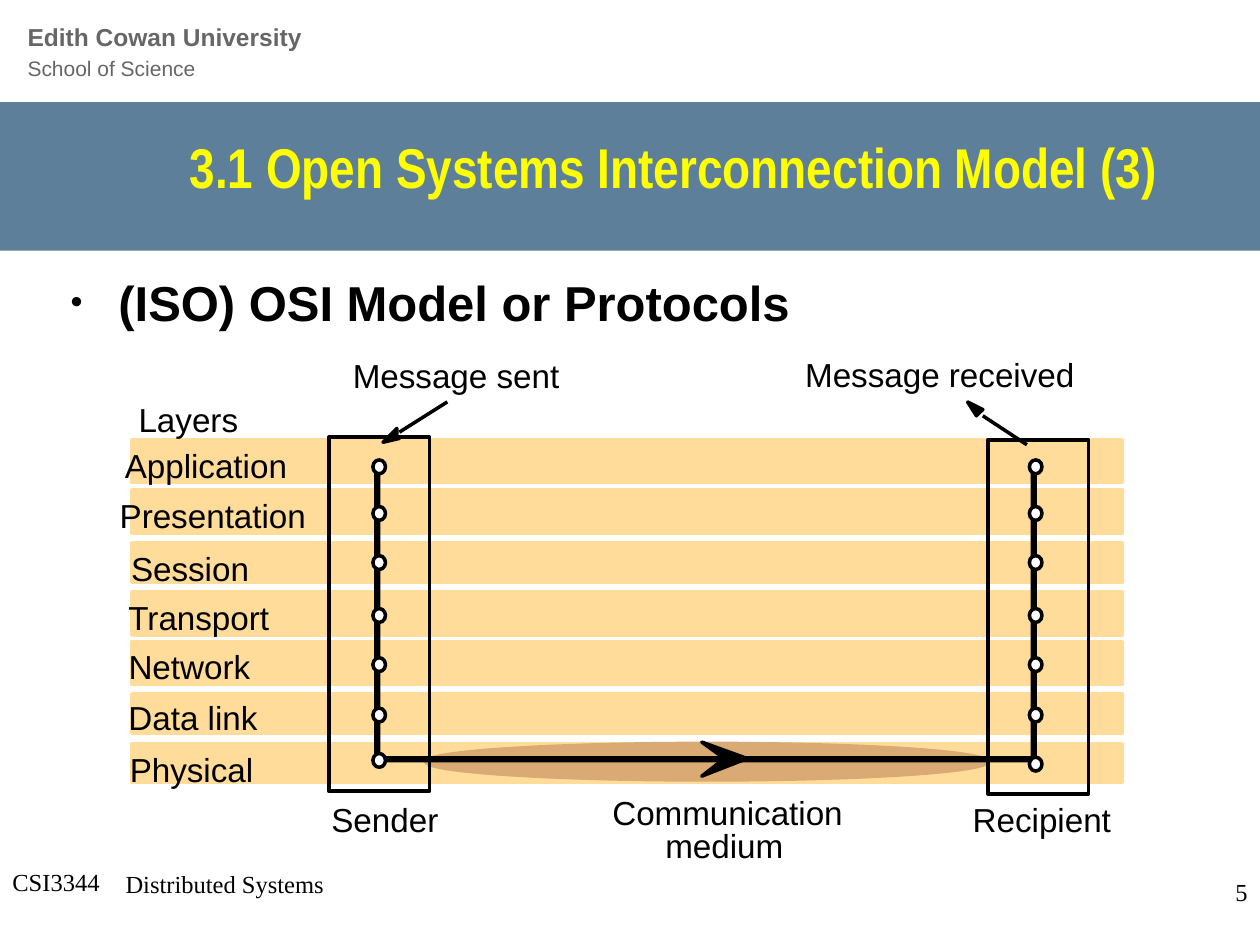
from dataclasses import dataclass

import pptx
import pptx.dml.color
import pptx.enum.shapes
import pptx.enum.text
import pptx.oxml.ns
import pptx.util
from lxml import etree

Inches, Pt = pptx.util.Inches, pptx.util.Pt
RGBColor = pptx.dml.color.RGBColor
Shape = pptx.enum.shapes.MSO_SHAPE
Align = pptx.enum.text.PP_ALIGN
Anchor = pptx.enum.text.MSO_ANCHOR
AutoSize = pptx.enum.text.MSO_AUTO_SIZE
qn = pptx.oxml.ns.qn

BLACK = RGBColor(0x00, 0x00, 0x00)
WHITE = RGBColor(0xFF, 0xFF, 0xFF)
GREY = RGBColor(0x66, 0x66, 0x66)
BANNER_BLUE = RGBColor(0x5D, 0x7F, 0x9A)
TITLE_YELLOW = RGBColor(0xFF, 0xFF, 0x00)
LAYER_ORANGE = RGBColor(0xFF, 0xDC, 0x99)
MEDIUM_BROWN = RGBColor(0xD9, 0xAA, 0x73)


@dataclass
class Label:
    text: str
    left: float
    top: float
    width: float


@dataclass
class Layer:
    label: Label
    top: float
    height: float
    node_top: float


@dataclass
class Host:
    box_left: float
    box_top: float
    trunk_left: float
    trunk_bottom: float
    last_node_top: float


LAYERS = [
    Layer(Label("Application", 0.99, 3.53, 1.32), 3.48, 0.34, 3.65),
    Layer(Label("Presentation", 0.95, 3.93, 1.52), 3.88, 0.34, 4.02),
    Layer(Label("Session", 1.04, 4.35, 0.98), 4.30, 0.31, 4.41),
    Layer(Label("Transport", 1.02, 4.74, 1.17), 4.69, 0.34, 4.83),
    Layer(Label("Network", 1.02, 5.13, 1.01), 5.08, 0.34, 5.22),
    Layer(Label("Data link", 1.02, 5.53, 1.07), 5.50, 0.31, 5.62),
    Layer(Label("Physical", 1.03, 5.95, 1.05), 5.89, 0.31, 5.98),
]
CAPTIONS = [
    Label("Message sent", 2.80, 2.82, 1.68),
    Label("Message received", 6.39, 2.81, 2.18),
    Label("Layers", 1.10, 3.17, 0.83),
    Label("Sender", 2.63, 6.34, 0.89),
    Label("Recipient", 7.72, 6.34, 1.14),
    Label("Communication", 4.86, 6.29, 1.87),
    Label("medium", 5.28, 6.55, 0.98),
]
SENDER = Host(2.61, 3.47, 2.97, 6.00, 5.98)
RECIPIENT = Host(7.84, 3.49, 8.18, 6.02, 6.01)


def paint(shape, fill: RGBColor | None, line: RGBColor | None, width: float = 2) -> None:
    shape.shadow.inherit = False
    if fill is None:
        shape.fill.background()
    else:
        shape.fill.solid()
        shape.fill.fore_color.rgb = fill
    if line is None:
        shape.line.fill.background()
    else:
        shape.line.color.rgb = line
        shape.line.width = Pt(width)


def place(shape, left: float, top: float, width: float, height: float) -> None:
    shape.left, shape.top = Inches(left), Inches(top)
    shape.width, shape.height = Inches(width), Inches(height)


def add_preset(slide, kind, left: float, top: float, width: float, height: float,
               fill: RGBColor | None = None, line: RGBColor | None = None):
    shape = slide.shapes.add_shape(
        kind, Inches(left), Inches(top), Inches(width), Inches(height))
    paint(shape, fill, line)
    return shape


def add_outline(slide, points: list[tuple[float, float]], fill: RGBColor | None,
                line: RGBColor | None, width: float = 2) -> None:
    """Draw a closed polygon through points given in inches."""
    start, *rest = [(Inches(x), Inches(y)) for x, y in points]
    builder = slide.shapes.build_freeform(*start)
    builder.add_line_segments(rest, close=True)
    paint(builder.convert_to_shape(), fill, line, width)


def add_line(slide, start: tuple[float, float], end: tuple[float, float]) -> None:
    line = slide.shapes.add_connector(
        pptx.enum.shapes.MSO_CONNECTOR.STRAIGHT, *map(Inches, start + end))
    line.line.color.rgb = BLACK
    line.line.width = Pt(2)
    etree.SubElement(line._element.spPr, qn("a:effectLst"))


def set_font(font, name: str, size: float, color: RGBColor, bold: bool = False) -> None:
    font.name, font.size, font.bold = name, Pt(size), bold
    font.color.rgb = color


def add_label(slide, label: Label) -> None:
    box = slide.shapes.add_textbox(
        Inches(label.left), Inches(label.top), Inches(label.width), Inches(0.32))
    frame = box.text_frame
    frame.margin_left = frame.margin_right = frame.margin_top = frame.margin_bottom = 0
    frame.word_wrap = True
    frame.text = label.text
    set_font(frame.paragraphs[0].font, "Arial", 19, BLACK)


def add_footer(slide, text: str, left: float, top: float, width: float,
               align, anchor) -> None:
    box = slide.shapes.add_textbox(Inches(left), Inches(top), Inches(width), Inches(0.5))
    frame = box.text_frame
    frame.word_wrap = True
    frame.vertical_anchor = anchor
    frame.text = text
    frame.paragraphs[0].alignment = align
    set_font(frame.paragraphs[0].font, "Times New Roman", 14, BLACK)


def add_header(slide) -> None:
    banner = add_preset(slide, Shape.RECTANGLE, 0, 0.81, 10.04, 1.18, BANNER_BLUE)
    slide.shapes._spTree.insert(2, banner._element)  # behind the title
    box = slide.shapes.add_textbox(Inches(0.12), Inches(0.13), Inches(5.89), Inches(0.57))
    box.text_frame.word_wrap = True
    heading = box.text_frame.paragraphs[0]
    heading.line_spacing = Pt(16.7)
    university = heading.add_run()
    university.text = "Edith Cowan University"
    set_font(university.font, "Arial", 14, GREY, True)
    heading.add_line_break()
    school = heading.add_run()
    school.text = "School of Science"
    set_font(school.font, "Arial", 12, GREY)


def fill_placeholders(slide) -> None:
    title, body = slide.shapes.title, slide.placeholders[1]
    place(title, 0.54, 0.99, 8.75, 0.66)
    title.text_frame.text = "3.1 Open Systems Interconnection Model (3)"
    title.text_frame.auto_size = AutoSize.NONE
    title.text_frame.vertical_anchor = Anchor.MIDDLE
    title.text_frame.paragraphs[0].alignment = Align.RIGHT
    set_font(title.text_frame.paragraphs[0].font, "Arial Narrow", 32, TITLE_YELLOW, True)

    place(body, 0.46, 2.11, 8.5, 0.67)
    body.text_frame.text = "(ISO) OSI Model or Protocols"
    body.text_frame.auto_size = AutoSize.NONE
    topic = body.text_frame.paragraphs[0]
    topic.space_before = Pt(0)
    properties = topic._p.get_or_add_pPr()
    properties.set("marL", str(Inches(0.38)))
    properties.set("indent", str(-Inches(0.38)))
    bullet_color = etree.SubElement(properties, qn("a:buClr"))
    etree.SubElement(bullet_color, qn("a:srgbClr"), val=str(BLACK))
    etree.SubElement(properties, qn("a:buSzPct"), val="70000")
    etree.SubElement(properties, qn("a:buChar"), char="•")
    set_font(topic.font, "Arial", 28, BLACK, True)


def add_host(slide, host: Host) -> None:
    """Draw one end system: its frame, vertical trunk and a node per layer."""
    add_preset(slide, Shape.RECTANGLE, host.box_left, host.box_top, 0.8, 2.81, line=BLACK)
    add_preset(slide, Shape.RECTANGLE, host.trunk_left, 3.69, 0.05,
               host.trunk_bottom + 0.03 - 3.69, BLACK)
    for node_top in [layer.node_top for layer in LAYERS[:-1]] + [host.last_node_top]:
        add_preset(slide, Shape.OVAL, host.trunk_left - 0.01, node_top, 0.1, 0.11,
                   WHITE, BLACK)


def add_medium(slide) -> None:
    add_preset(slide, Shape.OVAL, 3.38, 5.90, 4.46, 0.29, MEDIUM_BROWN, MEDIUM_BROWN)
    add_preset(slide, Shape.RECTANGLE, 3.02, 6.00, 5.18, 0.05, BLACK)
    add_outline(slide, [(5.93, 6.02), (5.57, 6.16), (5.75, 6.02), (5.57, 5.89)],
                BLACK, BLACK)


def main() -> None:
    deck = pptx.Presentation()
    deck.slide_width, deck.slide_height = Inches(10), Inches(7.5)
    slide = deck.slides.add_slide(deck.slide_layouts[1])
    add_header(slide)
    fill_placeholders(slide)
    add_footer(slide, "CSI3344", 0, 6.83, 2.08, Align.LEFT, Anchor.TOP)
    add_footer(slide, "Distributed Systems", 0.2, 6.76, 3.17, Align.CENTER, Anchor.MIDDLE)
    add_footer(slide, "5", 7.92, 6.83, 2.08, Align.RIGHT, Anchor.MIDDLE)
    for layer in LAYERS:
        add_preset(slide, Shape.RECTANGLE, 1.04, layer.top, 7.86, layer.height, LAYER_ORANGE)
        add_preset(slide, Shape.RECTANGLE, 1.05, layer.top + 0.01, 7.86, layer.height,
                   line=LAYER_ORANGE)
    add_medium(slide)
    for label in [layer.label for layer in LAYERS] + CAPTIONS:
        add_label(slide, label)
    for host in (SENDER, RECIPIENT):
        add_host(slide, host)
    add_outline(slide, [(7.78, 3.27), (7.75, 3.30), (7.68, 3.19), (7.80, 3.25)], BLACK, BLACK)
    add_line(slide, (8.15, 3.53), (7.80, 3.30))
    add_outline(slide, [(3.15, 3.46), (3.17, 3.48), (3.04, 3.51), (3.15, 3.40)], BLACK, BLACK)
    add_line(slide, (3.55, 3.19), (3.17, 3.43))
    deck.save("out.pptx")


if __name__ == "__main__":
    main()
